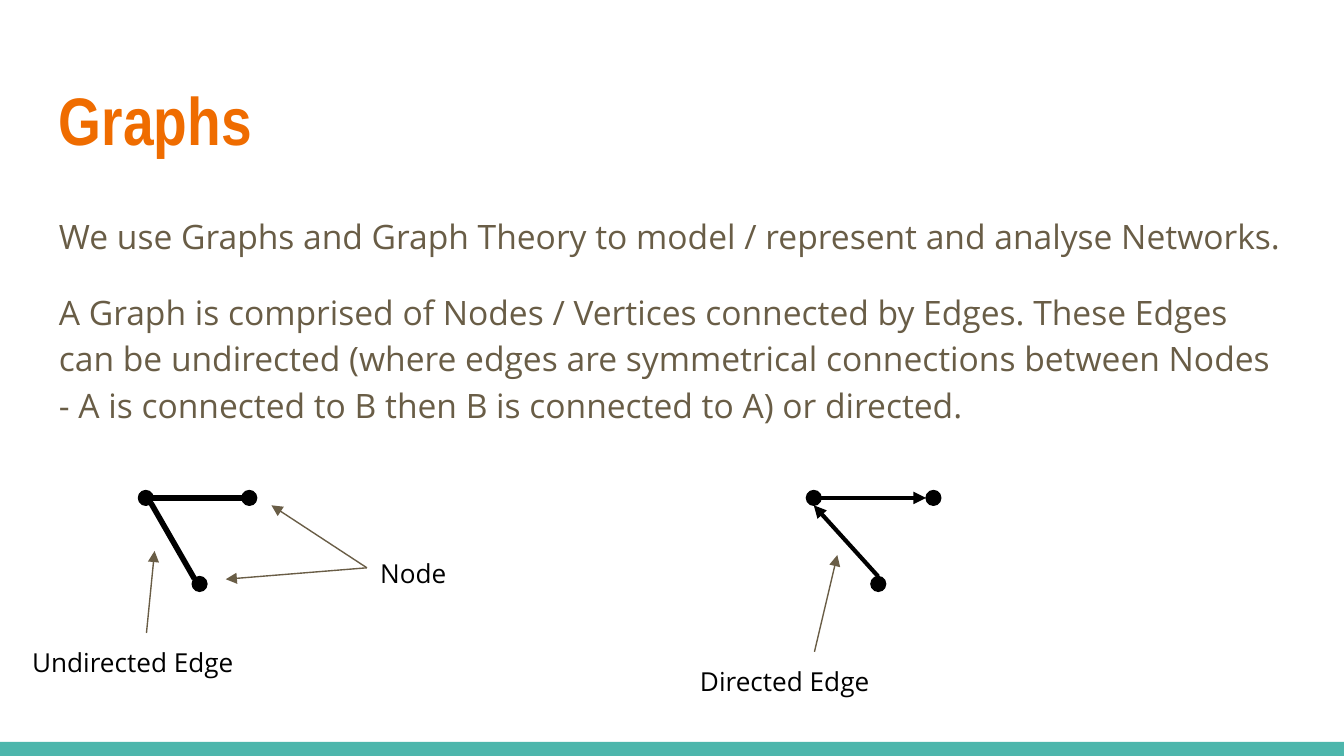
from lxml.etree import SubElement
from pptx import Presentation
from pptx.dml.color import RGBColor
from pptx.enum.shapes import MSO_CONNECTOR, MSO_SHAPE
from pptx.enum.text import MSO_ANCHOR
from pptx.oxml.ns import qn
from pptx.util import Inches, Pt

THEME = {
    "accent": "EF6C00", "muted": "695D46", "ink": "000000", "bar": "4DB6AC",
    "heading_font": "Arial Narrow", "body_font": "Open Sans",
    "title": 36, "body": 18, "label": 14,
    "outline": 0.75, "undirected": 3, "directed": 2.25,
}
TITLE = "Graphs"
BODY = [
    "We use Graphs and Graph Theory to model / represent and analyse Networks.",
    "A Graph is comprised of Nodes / Vertices connected by Edges. These Edges can be "
    "undirected (where edges are symmetrical connections between Nodes - A is connected "
    "to B then B is connected to A) or directed.",
]
NODE_SIZE = 0.11
SITES = {"top": (0.5, 0), "left": (0, 0.5), "bottom": (0.5, 1), "right": (1, 0.5),
         "upper left": (0.15, 0.15), "lower right": (0.85, 0.85)}
GRAPHS = [
    {"style": "undirected", "arrow": False,
     "nodes": {"A": (1.03, 3.65), "B": (1.8, 3.65), "C": (1.43, 4.29)},
     "edges": [("A", "lower right", "C", "upper left"), ("A", "right", "B", "left")]},
    {"style": "directed", "arrow": True,
     "nodes": {"A": (6, 3.65), "B": (6.89, 3.65), "C": (6.48, 4.29)},
     "edges": [("A", "right", "B", "left"), ("C", "top", "A", "bottom")]},
]
LABELS = [
    {"text": "Node", "box": (2.73, 4.05, 0.71, 0.35), "side": 1,
     "targets": [(2.02, 3.76), (1.68, 4.31)]},
    {"text": "Undirected Edge", "box": (0.14, 4.71, 1.9, 0.35), "side": 0,
     "targets": [(1.15, 4.1)]},
    {"text": "Directed Edge", "box": (5.11, 4.85, 1.9, 0.35), "side": 0,
     "targets": [(6.23, 4.13)]},
]


def color(name):
    return RGBColor.from_string(THEME[name])


def add_text(slide, paragraphs, box, *, size, ink="ink", font="body_font", bold=False,
             anchor=MSO_ANCHOR.TOP, line_spacing=None, gap=0):
    shape = slide.shapes.add_textbox(*map(Inches, box))
    frame = shape.text_frame
    frame.word_wrap = True
    frame.vertical_anchor = anchor
    frame.margin_left = frame.margin_right = Inches(0.1)
    frame.margin_top = frame.margin_bottom = Inches(0.1)
    for index, text in enumerate(paragraphs):
        paragraph = frame.paragraphs[0] if index == 0 else frame.add_paragraph()
        if line_spacing:
            paragraph.line_spacing = line_spacing
        if index:
            paragraph.space_before = paragraph.space_after = Pt(gap)
        run = paragraph.add_run()
        run.text = text
        run.font.name = THEME[font]
        run.font.size = Pt(THEME[size])
        run.font.bold = bold
        run.font.color.rgb = color(ink)
    return shape


def add_filled(slide, kind, box, fill, outline=None):
    shape = slide.shapes.add_shape(kind, *map(Inches, box))
    shape.shadow.inherit = False
    shape.fill.solid()
    shape.fill.fore_color.rgb = color(fill)
    if outline:
        shape.line.color.rgb = color(fill)
        shape.line.width = Pt(THEME[outline])
    else:
        shape.line.fill.background()


def add_line(slide, start, end, ink, width, arrow):
    line = slide.shapes.add_connector(MSO_CONNECTOR.STRAIGHT, *map(Inches, (*start, *end)))
    line.line.color.rgb = color(ink)
    line.line.width = Pt(THEME[width])
    if arrow:
        SubElement(line.line._get_or_add_ln(), qn("a:tailEnd"), type="triangle")
    SubElement(line._element.spPr, qn("a:effectLst"))
    return line


def site_point(node, site):
    return tuple(place + NODE_SIZE * part for place, part in zip(node, SITES[site]))


def add_graph(slide, graph):
    nodes = graph["nodes"]
    for node in nodes.values():
        add_filled(slide, MSO_SHAPE.OVAL, (*node, NODE_SIZE, NODE_SIZE), "ink", "outline")
    for source, source_site, target, target_site in graph["edges"]:
        add_line(slide, site_point(nodes[source], source_site),
                 site_point(nodes[target], target_site), "ink", graph["style"], graph["arrow"])


def add_label(slide, label):
    shape = add_text(slide, [label["text"]], label["box"], size="label")
    for target in label["targets"]:
        pointer = add_line(slide, label["box"][:2], target, "muted", "outline", True)
        pointer.begin_connect(shape, label["side"])


def main():
    """Build the slide on graphs, nodes and edges."""
    presentation = Presentation()
    presentation.slide_width = Inches(10)
    presentation.slide_height = Inches(10 * 9 / 16)
    slide = presentation.slides.add_slide(presentation.slide_layouts[6])
    add_filled(slide, MSO_SHAPE.RECTANGLE, (0, 5.52, 10, 0.11), "bar")
    add_text(slide, [TITLE], (0.34, 0.5, 9.32, 0.77), size="title", ink="accent",
             font="heading_font", bold=True, anchor=MSO_ANCHOR.MIDDLE)
    add_text(slide, BODY, (0.34, 1.46, 9.32, 3.61), size="body", ink="muted",
             line_spacing=1.15, gap=16)
    for graph in GRAPHS:
        add_graph(slide, graph)
    for label in LABELS:
        add_label(slide, label)
    presentation.save("out.pptx")


if __name__ == "__main__":
    main()
